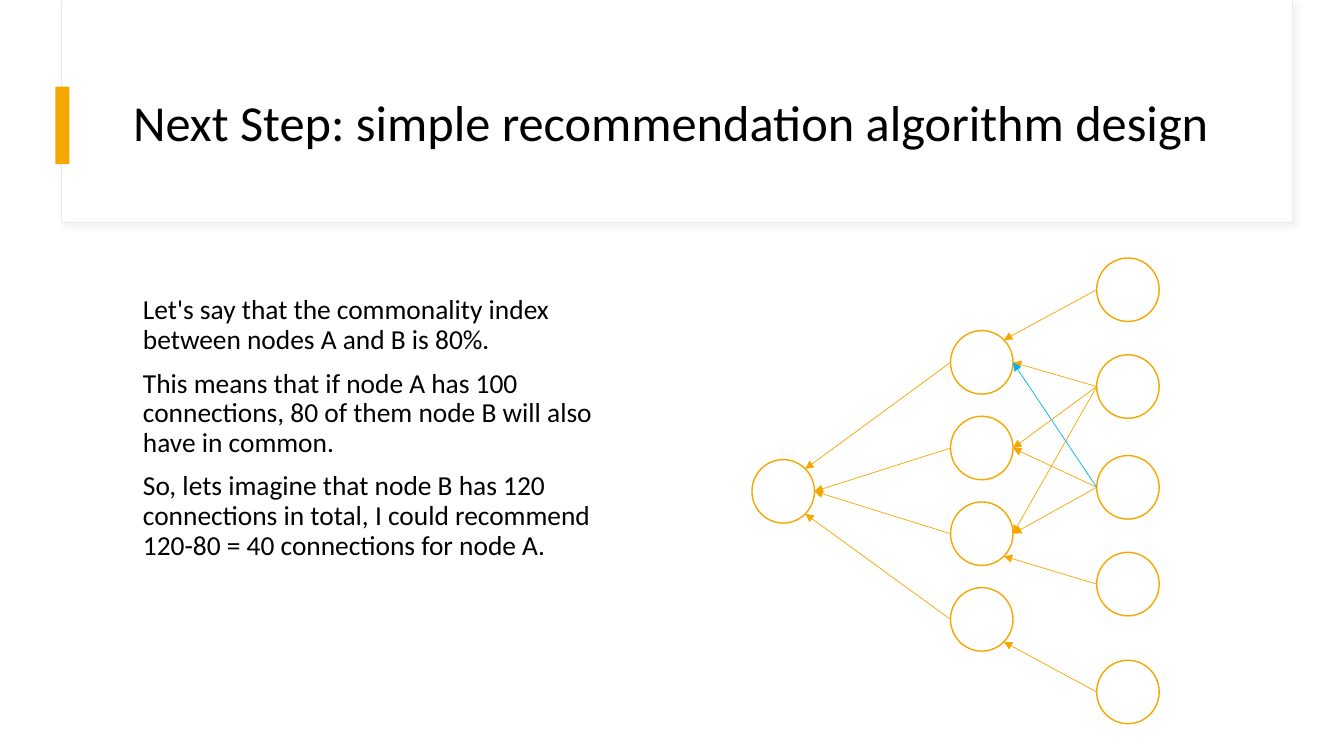
from dataclasses import dataclass
from math import cos, radians, sin

from lxml.etree import SubElement
from pptx import Presentation
from pptx.dml.color import RGBColor
from pptx.enum.shapes import MSO_CONNECTOR as Link, MSO_SHAPE as Preset
from pptx.enum.text import MSO_ANCHOR as Anchor, MSO_AUTO_SIZE as Fit, PP_ALIGN as Align
from pptx.oxml.ns import qn
from pptx.util import Inches, Pt

COLUMNS, ROWS = 80, 45
CELL = Inches(1) // 6
TITLE_ONLY = 5


@dataclass(frozen=True)
class Theme:
    font: str = "Calibri"
    title_size: float = 36
    body_size: float = 19.6
    ink: str = "000000"
    paper: str = "FFFFFF"
    frame: str = "E9E9E9"
    shade: str = "D9D9D9"
    accent: str = "F5A700"
    highlight: str = "00B0F0"


@dataclass(frozen=True)
class Node:
    left: float
    top: float
    width: float = 3.72
    height: float = 3.78

    def rim(self, angle):
        turn = radians(angle)
        return (
            self.left + self.width / 2 * (1 + cos(turn)),
            self.top + self.height / 2 * (1 + sin(turn)),
        )


def cells(*lengths):
    return [round(length * CELL) for length in lengths]


class SlideBuilder:
    def __init__(self, page, theme):
        self.page = page
        self.theme = theme

    def style_text(self, frame, size):
        frame.word_wrap = True
        frame.auto_size = Fit.NONE
        for para in frame.paragraphs:
            para.alignment = Align.LEFT
            para.line_spacing = 0.9
            for span in para.runs:
                span.font.name = self.theme.font
                span.font.size = Pt(size)
                span.font.color.rgb = RGBColor.from_string(self.theme.ink)

    def title(self, text, left, top, width, height):
        box = self.page.shapes.title
        box.left, box.top, box.width, box.height = cells(left, top, width, height)
        box.text_frame.text = text
        box.text_frame.vertical_anchor = Anchor.MIDDLE
        self.style_text(box.text_frame, self.theme.title_size)
        self.page.shapes.element.append(box.element)

    def body(self, lines, left, top, width, height):
        box = self.page.shapes.add_textbox(*cells(left, top, width, height))
        box.text_frame.text = "\n".join(lines)
        self.style_text(box.text_frame, self.theme.body_size)
        for para in box.text_frame.paragraphs:
            para.space_before = Pt(10)

    def shape(self, preset, left, top, width, height, fill, line=None, weight=1):
        shape = self.page.shapes.add_shape(preset, *cells(left, top, width, height))
        shape.shadow.inherit = False
        shape.fill.solid()
        shape.fill.fore_color.rgb = RGBColor.from_string(fill)
        if line:
            shape.line.color.rgb = RGBColor.from_string(line)
            shape.line.width = Pt(weight)
        else:
            shape.line.fill.background()
        return shape

    def card(self, left, top, width, height):
        card = self.shape(Preset.RECTANGLE, left, top, width, height,
                          self.theme.paper, self.theme.frame, 0.75)
        effects = card.element.spPr.find(qn("a:effectLst"))
        shadow = SubElement(effects, qn("a:outerShdw"), blurRad=str(Pt(4)),
                            dist=str(Pt(3)), dir=str(45 * 60000))
        colour = SubElement(shadow, qn("a:srgbClr"), val=self.theme.shade)
        SubElement(colour, qn("a:alpha"), val="30000")

    def node(self, node):
        self.shape(Preset.OVAL, node.left, node.top, node.width, node.height,
                   self.theme.paper, self.theme.accent)

    def arrow(self, source, target, angle, colour):
        ends = cells(*source.rim(180), *target.rim(angle))
        arrow = self.page.shapes.add_connector(Link.STRAIGHT, *ends)
        arrow.line.color.rgb = RGBColor.from_string(colour)
        arrow.line.width = Pt(0.5)
        SubElement(arrow.line._get_or_add_ln(), qn("a:tailEnd"), type="triangle")
        SubElement(arrow.element.spPr, qn("a:effectLst"))


def main():
    deck = Presentation()
    deck.slide_width, deck.slide_height = cells(COLUMNS, ROWS)
    theme = Theme()
    builder = SlideBuilder(deck.slides.add_slide(deck.slide_layouts[TITLE_ONLY]), theme)

    builder.card(3.66, 0, 73.26, 13.26)
    builder.shape(Preset.RECTANGLE, 3.72, 0, 73.2, 13.2, theme.paper)
    builder.shape(Preset.RECTANGLE, 3.3, 5.16, 0.84, 4.62, theme.accent)
    builder.title("Next Step: simple recommendation algorithm design", 7.32, 3.6, 66.72, 7.74)
    builder.body(
        [
            "Let's say that the commonality index between nodes A and B is 80%.",
            "This means that if node A has 100 connections, 80 of them node B will also have in common.",
            "So, lets imagine that node B has 120 connections in total, I could recommend 120-80 = 40 connections for node A.",
        ],
        7.92, 17.34, 28.68, 22.38,
    )

    root = Node(44.76, 27.36)
    middle = [Node(56.58, 19.68 + 5.1 * step) for step in range(4)]
    outer = [Node(65.28, top) for top in (15.36, 21.12, 27.12, 32.88, 39.3)]
    for node in [root, *middle, *outer]:
        builder.node(node)

    for source, angle in zip(middle, (-45, 0, 0, 45)):
        builder.arrow(source, root, angle, theme.accent)

    outer_links = [
        (4, 3, 45), (3, 2, 45), (2, 1, 0), (2, 2, 0), (0, 0, -45),
        (1, 0, 0), (1, 2, 0), (1, 1, 0), (2, 0, 0),
    ]
    for source, target, angle in outer_links:
        colour = theme.highlight if (source, target) == (2, 0) else theme.accent
        builder.arrow(outer[source], middle[target], angle, colour)

    deck.save("out.pptx")


if __name__ == "__main__":
    main()
